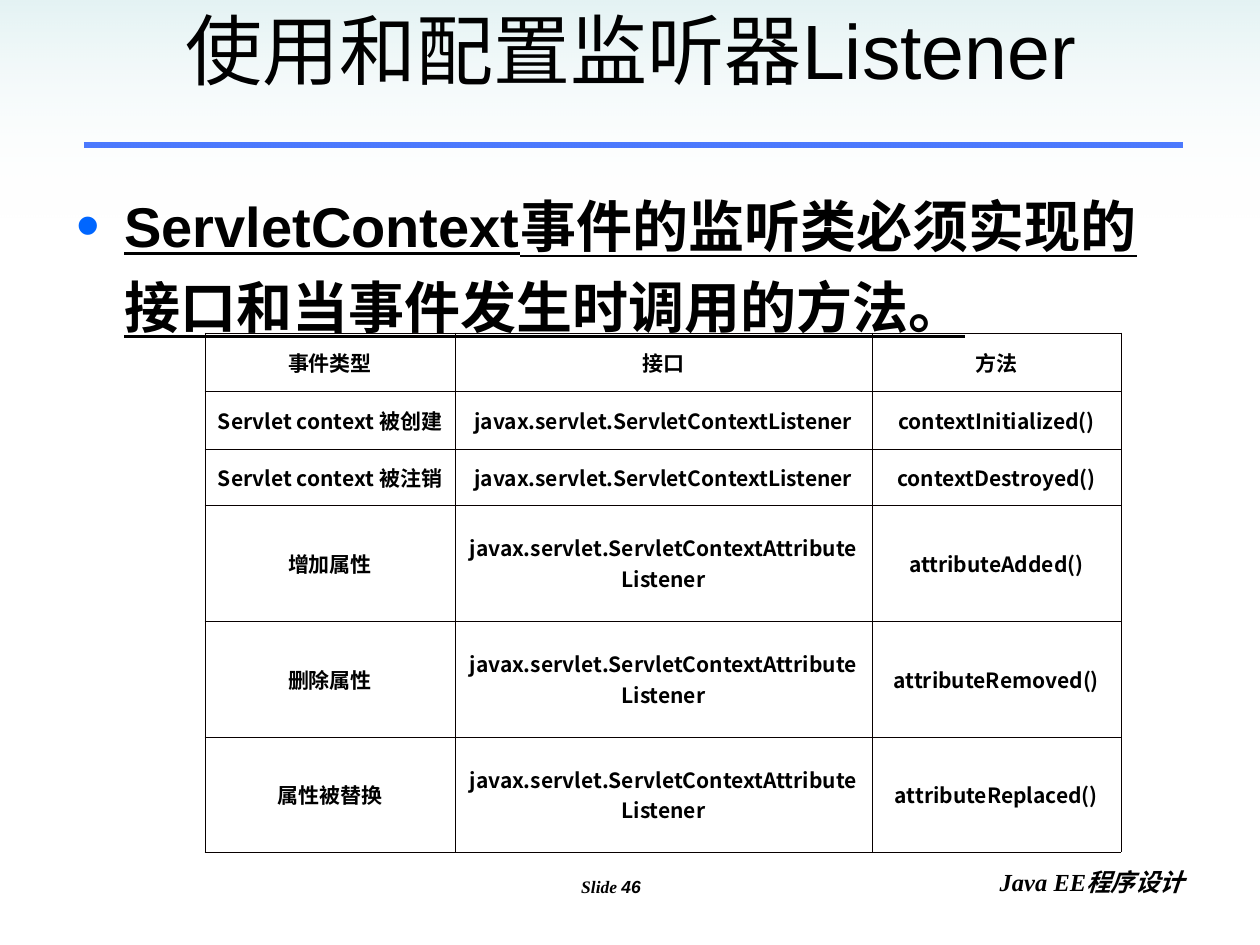
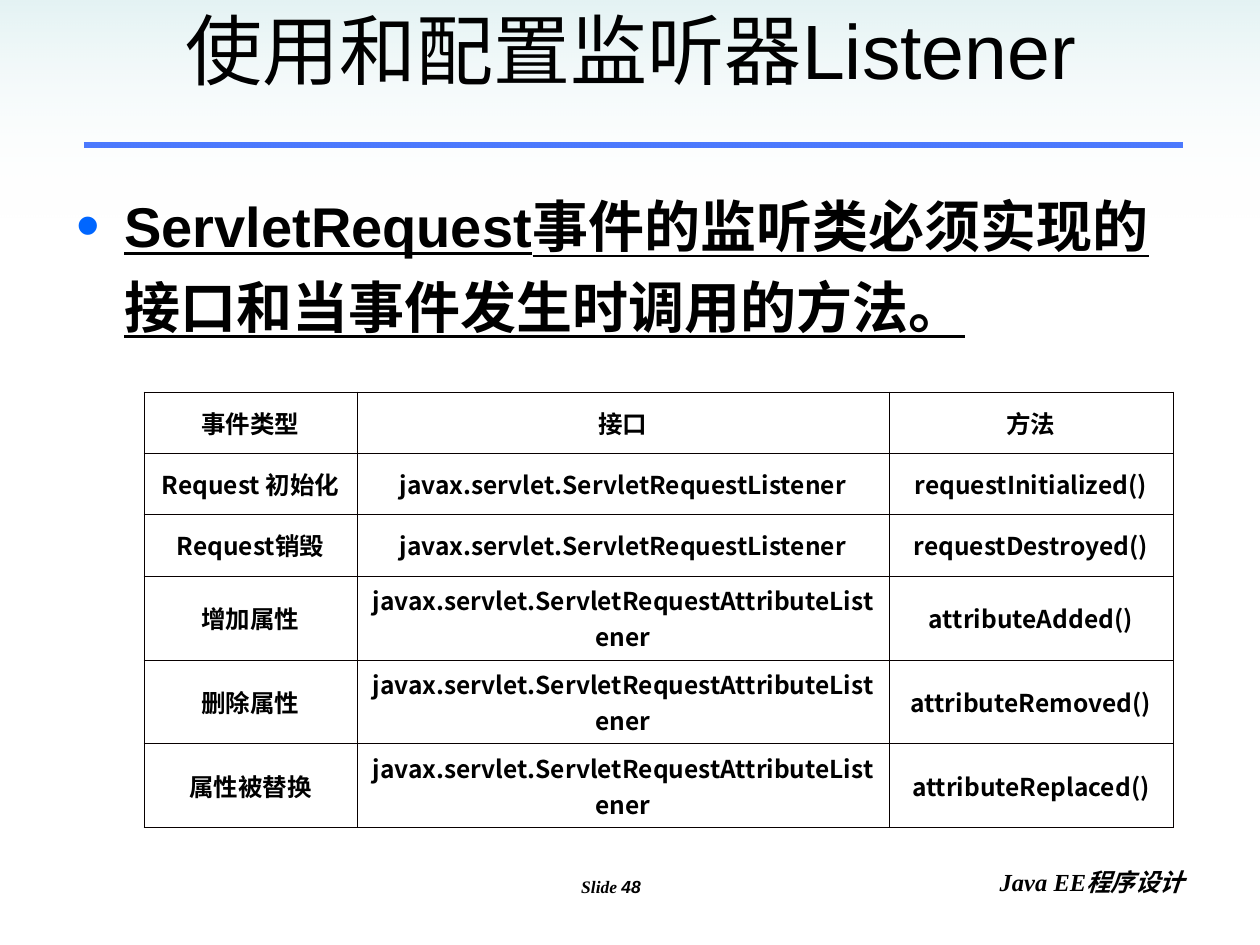
from dataclasses import dataclass

from lxml import etree
from pptx import Presentation
from pptx.dml.color import RGBColor
from pptx.enum.shapes import MSO_CONNECTOR, MSO_SHAPE
from pptx.enum.text import MSO_ANCHOR, PP_ALIGN
from pptx.oxml.ns import qn
from pptx.util import Emu, Pt

LEFT, CENTER, RIGHT = PP_ALIGN.LEFT, PP_ALIGN.CENTER, PP_ALIGN.RIGHT
TOP, MIDDLE = MSO_ANCHOR.TOP, MSO_ANCHOR.MIDDLE
STRAIGHT, RECTANGLE = MSO_CONNECTOR.STRAIGHT, MSO_SHAPE.RECTANGLE

PX_PER_INCH = 126
BLANK_LAYOUT = 6


@dataclass(frozen=True)
class Theme:
    ink: str = "000000"
    paper: str = "FFFFFF"
    rule: str = "3366FF"
    bullet: str = "0066FF"
    band: str = "BBE0E3"
    border: str = "080000"
    sans: str = "Arial"
    serif: str = "Times New Roman"
    cjk: str = "Noto Sans CJK SC"
    title_size: int = 44
    body_size: int = 32
    course_size: int = 14
    number_size: int = 10
    rule_width: int = 3
    border_width: float = 0.45


THEME = Theme()

PAGE_BOX = (0, 0, 1260, 945)
BAND_BOX = (0, 0, 1260, 220)
RULE_BOX = (84, 145, 1099, 0)
TITLE_BOX = (64, 0, 1134, 98)
BODY_BOX = (64, 172, 1134, 669)
NUMBER_BOX = (464, 870, 294, 66)
COURSE_BOX = (903, 861, 294, 66)

COLUMN_MARGINS = (6, 10, 10)

TITLE = "使用和配置监听器Listener"
COURSE = "Java EE程序设计"
HEADINGS = ("事件类型", "接口", "方法")
ATTRIBUTE_EVENTS = (
    ("增加属性", "attributeAdded()"),
    ("删除属性", "attributeRemoved()"),
    ("属性被替换", "attributeReplaced()"),
)


@dataclass(frozen=True)
class ListenerPage:
    number: int
    subject: str
    lifecycle: tuple
    table_at: tuple
    columns: tuple
    rows: tuple
    type_size: int


PAGES = (
    ListenerPage(
        46, "ServletContext",
        (("Servlet context 被创建", "contextInitialized()"),
         ("Servlet context 被注销", "contextDestroyed()")),
        (205, 333), (250, 417, 249), (58, 58, 56, 116, 116, 115), 12),
    ListenerPage(
        48, "ServletRequest",
        (("Request 初始化", "requestInitialized()"),
         ("Request销毁", "requestDestroyed()")),
        (144, 392), (213, 532, 284), (61, 61, 62, 84, 84, 84), 14),
)


def px(length):
    return Emu(round(length * 914400 / PX_PER_INCH))


def rgb(color):
    return RGBColor.from_string(color)


def add_element(parent, tag, **attributes):
    return etree.SubElement(parent, qn(tag), attributes)


def style_font(font, name, size, bold=False, italic=False):
    font.name = name
    font.size = Pt(size)
    font.bold = bold
    font.italic = italic
    font.color.rgb = rgb(THEME.ink)


def add_text_box(page, box, align, anchor=TOP):
    frame = page.shapes.add_textbox(*map(px, box)).text_frame
    frame.word_wrap = True
    frame.vertical_anchor = anchor
    para = frame.paragraphs[0]
    para.alignment = align
    return para


def add_footer(page, number):
    para = add_text_box(page, NUMBER_BOX, CENTER)
    for text, name in (("Slide ", THEME.serif), (str(number), THEME.sans)):
        span = para.add_run()
        span.text = text
        style_font(span.font, name, THEME.number_size, bold=True, italic=True)
    para = add_text_box(page, COURSE_BOX, RIGHT)
    para.text = COURSE
    style_font(para.font, THEME.serif, THEME.course_size, bold=True, italic=True)


def add_rule(page, box):
    left, top, width, height = box
    rule = page.shapes.add_connector(
        STRAIGHT, *map(px, (left, top, left + width, top + height)))
    rule.line.color.rgb = rgb(THEME.rule)
    rule.line.width = Pt(THEME.rule_width)
    add_element(rule._element.spPr, "a:effectLst")


def add_band(page, box):
    band = page.shapes.add_shape(RECTANGLE, *map(px, box))
    band.shadow.inherit = False
    band.line.fill.background()
    band.fill.gradient()
    band.fill.gradient_angle = 270
    for stop, color in zip(band.fill.gradient_stops, (THEME.band, THEME.paper)):
        stop.color.rgb = rgb(color)
    stops = band._element.spPr.iter(qn("a:srgbClr"))
    for color, opacity in zip(stops, ("40000", "0")):
        add_element(color, "a:alpha", val=opacity)


def add_title(page, box):
    para = add_text_box(page, box, CENTER, MIDDLE)
    para.text = TITLE
    style_font(para.font, THEME.sans, THEME.title_size)


def add_body(page, box, subject):
    para = add_text_box(page, box, LEFT)
    para.text = f"{subject}事件的监听类必须实现的接口和当事件发生时调用的方法。"
    properties = para._p.get_or_add_pPr()
    indent = px(48)
    properties.set("marL", str(indent))
    properties.set("indent", str(-indent))
    color = add_element(properties, "a:buClr")
    add_element(color, "a:srgbClr", val=THEME.bullet)
    add_element(properties, "a:buSzPct", val="120000")
    add_element(properties, "a:buFont", typeface=THEME.sans)
    add_element(properties, "a:buChar", char="•")
    para.line_spacing = 1.2
    style_font(para.font, THEME.sans, THEME.body_size, bold=True)
    para.font.underline = True


def style_cell(cell, text, size, margin):
    properties = cell._tc.get_or_add_tcPr()
    for side in ("a:lnL", "a:lnR", "a:lnT", "a:lnB"):
        line = add_element(properties, side, w=str(Pt(THEME.border_width)))
        fill = add_element(line, "a:solidFill")
        add_element(fill, "a:srgbClr", val=THEME.border)
    cell.fill.background()
    cell.vertical_anchor = MIDDLE
    cell.margin_left = cell.margin_right = px(margin)
    cell.margin_top = cell.margin_bottom = px(6)
    para = cell.text_frame.paragraphs[0]
    para.text = text
    para.alignment = CENTER
    style_font(para.font, THEME.cjk, size, bold=True)


def listener_rows(content):
    yield HEADINGS
    for events, kind in ((content.lifecycle, ""), (ATTRIBUTE_EVENTS, "Attribute")):
        for event, method in events:
            yield event, f"javax.servlet.{content.subject}{kind}Listener", method


def add_listener_table(page, content):
    box = (*content.table_at, sum(content.columns), sum(content.rows))
    table = page.shapes.add_table(
        len(content.rows), len(content.columns), *map(px, box)).table
    table.first_row = False
    table.horz_banding = False
    for column, width in zip(table.columns, content.columns):
        column.width = px(width)
    for row, height, texts in zip(table.rows, content.rows, listener_rows(content)):
        row.height = px(height)
        for cell, text, margin in zip(row.cells, texts, COLUMN_MARGINS):
            style_cell(cell, text, content.type_size, margin)


def add_listener_page(deck, content):
    page = deck.slides.add_slide(deck.slide_layouts[BLANK_LAYOUT])
    page.background.fill.solid()
    page.background.fill.fore_color.rgb = rgb(THEME.paper)
    add_footer(page, content.number)
    add_rule(page, RULE_BOX)
    add_band(page, BAND_BOX)
    add_title(page, TITLE_BOX)
    add_body(page, BODY_BOX, content.subject)
    add_listener_table(page, content)


def main():
    deck = Presentation()
    deck.slide_width, deck.slide_height = map(px, PAGE_BOX[2:])
    for content in PAGES:
        add_listener_page(deck, content)
    deck.save("out.pptx")


if __name__ == "__main__":
    main()
